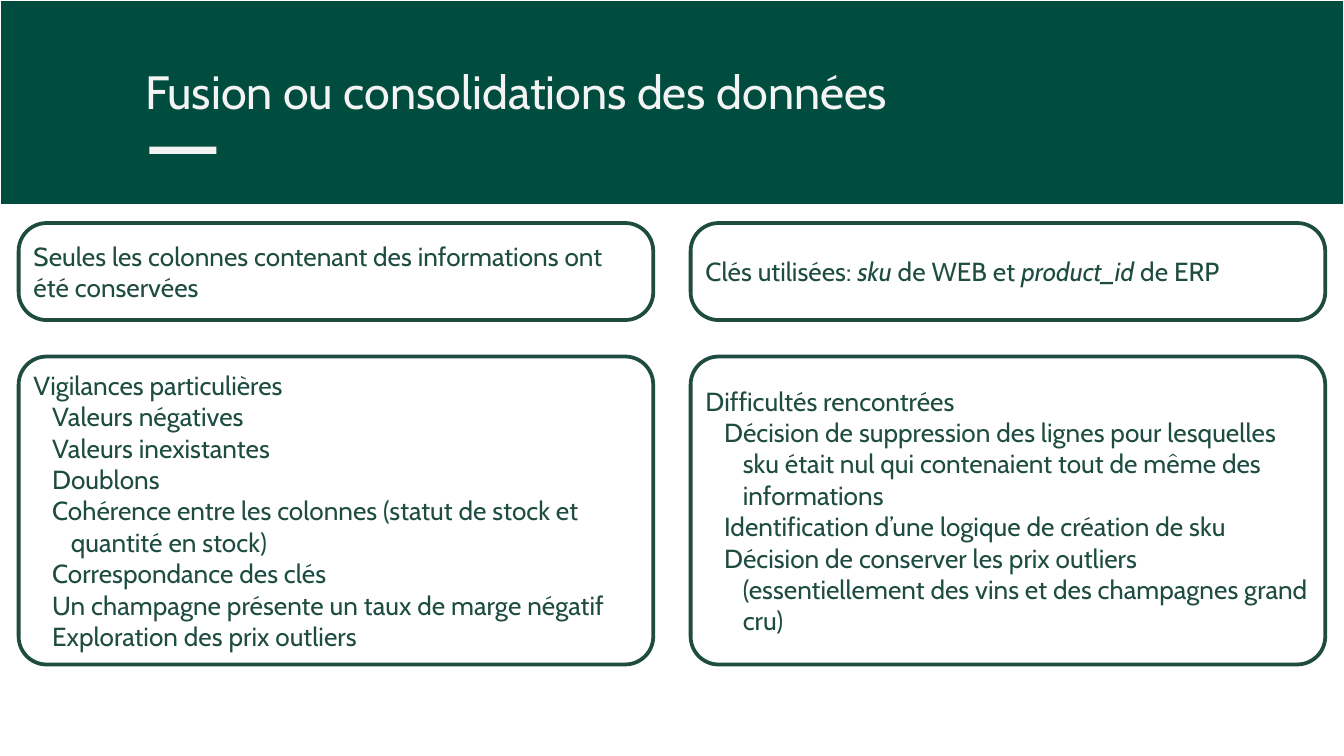
from dataclasses import dataclass

from pptx import Presentation
from pptx.dml.color import RGBColor
from pptx.enum.shapes import MSO_SHAPE
from pptx.enum.text import MSO_ANCHOR, MSO_AUTO_SIZE, PP_ALIGN
from pptx.util import Pt


@dataclass(frozen=True)
class Theme:
    font: str = "Cabin"
    band: RGBColor = RGBColor(0x00, 0x4D, 0x40)
    ink: RGBColor = RGBColor(0x1E, 0x4C, 0x40)
    pale: RGBColor = RGBColor(0xF3, 0xF3, 0xF3)
    white: RGBColor = RGBColor(0xFF, 0xFF, 0xFF)
    head: int = 25
    body: int = 14


THEME = Theme()
RADIUS = 15
STEP = 10

# Each line is a list of (text, italic) runs.
COLUMNS = [([("Seules les colonnes contenant des informations ont été conservées", False)],
            "Vigilances particulières",
            ["Valeurs négatives",
             "Valeurs inexistantes",
             "Doublons",
             "Cohérence entre les colonnes (statut de stock et quantité en stock)",
             "Correspondance des clés",
             "Un champagne présente un taux de marge négatif",
             "Exploration des prix outliers"]),
           ([("Clés utilisées: ", False), ("sku", True), (" de WEB et ", False),
             ("product_id", True), (" de ERP", False)],
            "Difficultés rencontrées",
            ["Décision de suppression des lignes pour lesquelles sku était nul "
             "qui contenaient tout de même des informations",
             "Identification d’une logique de création de sku",
             "Décision de conserver les prix outliers (essentiellement des vins "
             "et des champagnes grand cru)"])]


def add_box(slide, kind, box, fill, line=None, width=0):
    shape = slide.shapes.add_shape(kind, *map(Pt, box))
    shape.shadow.inherit = False
    shape.fill.solid()
    shape.fill.fore_color.rgb = fill
    if line is None:
        shape.line.fill.background()
    else:
        shape.line.color.rgb = line
        shape.line.width = Pt(width)
    return shape


def set_frame(frame, inset, anchor):
    frame.word_wrap = True
    frame.auto_size = MSO_AUTO_SIZE.NONE
    frame.vertical_anchor = anchor
    frame.margin_left = frame.margin_right = Pt(inset)
    frame.margin_top = frame.margin_bottom = Pt(inset)


def set_font(para, size, color):
    para.alignment = PP_ALIGN.LEFT
    para.font.name = THEME.font
    para.font.size = Pt(size)
    para.font.color.rgb = color


def add_header(slide, box, text):
    left, top, width, height = box
    band = add_box(slide, MSO_SHAPE.RECTANGLE, box, THEME.band, THEME.white, 0.75)
    slide.shapes._spTree.insert(2, band._element)  # behind the title

    title = slide.shapes.title
    title.left, title.top = Pt(left + 70.5), Pt(top + 26.5)
    title.width, title.height = Pt(width - 70.5), Pt(45.5)
    frame = title.text_frame
    frame.text = text
    set_frame(frame, 7.2, MSO_ANCHOR.TOP)
    set_font(frame.paragraphs[0], THEME.head, THEME.pale)
    add_box(slide, MSO_SHAPE.RECTANGLE, (left + 80, top + 78.5, 36, 4), THEME.pale)


def add_card(slide, box, lead, items=()):
    """Draw a rounded card with a lead line and indented items."""
    card = add_box(slide, MSO_SHAPE.ROUNDED_RECTANGLE, box, THEME.white, THEME.ink, 2)
    card.adjustments[0] = RADIUS / min(box[2:])
    frame = card.text_frame
    set_frame(frame, 3.6, MSO_ANCHOR.MIDDLE)

    para = frame.paragraphs[0]
    set_font(para, THEME.body, THEME.ink)
    for text, italic in lead:
        run = para.add_run()
        run.text = text
        if italic:
            run.font.italic = True

    for item in items:
        para = frame.add_paragraph()
        para.text = item
        set_font(para, THEME.body, THEME.ink)
        props = para._p.get_or_add_pPr()
        props.set("marL", str(Pt(2 * STEP)))
        props.set("indent", str(-Pt(STEP)))


def add_column(slide, box, note, head, items):
    left, top, width, height = box
    small, gap = 52, 19.5
    add_card(slide, (left, top, width, small), note)
    add_card(slide, (left, top + small + gap, width, height - small - gap),
             [(head, False)], items)


def main():
    deck = Presentation()
    deck.slide_width, deck.slide_height = Pt(720), Pt(405)
    slide = deck.slides.add_slide(deck.slide_layouts[5])
    add_header(slide, (0, 0, 720, 109.5), "Fusion ou consolidations des données")
    for i, column in enumerate(COLUMNS):
        add_column(slide, (10 + 360 * i, 119.5, 340, 236.5), *column)
    deck.save("out.pptx")


if __name__ == "__main__":
    main()
